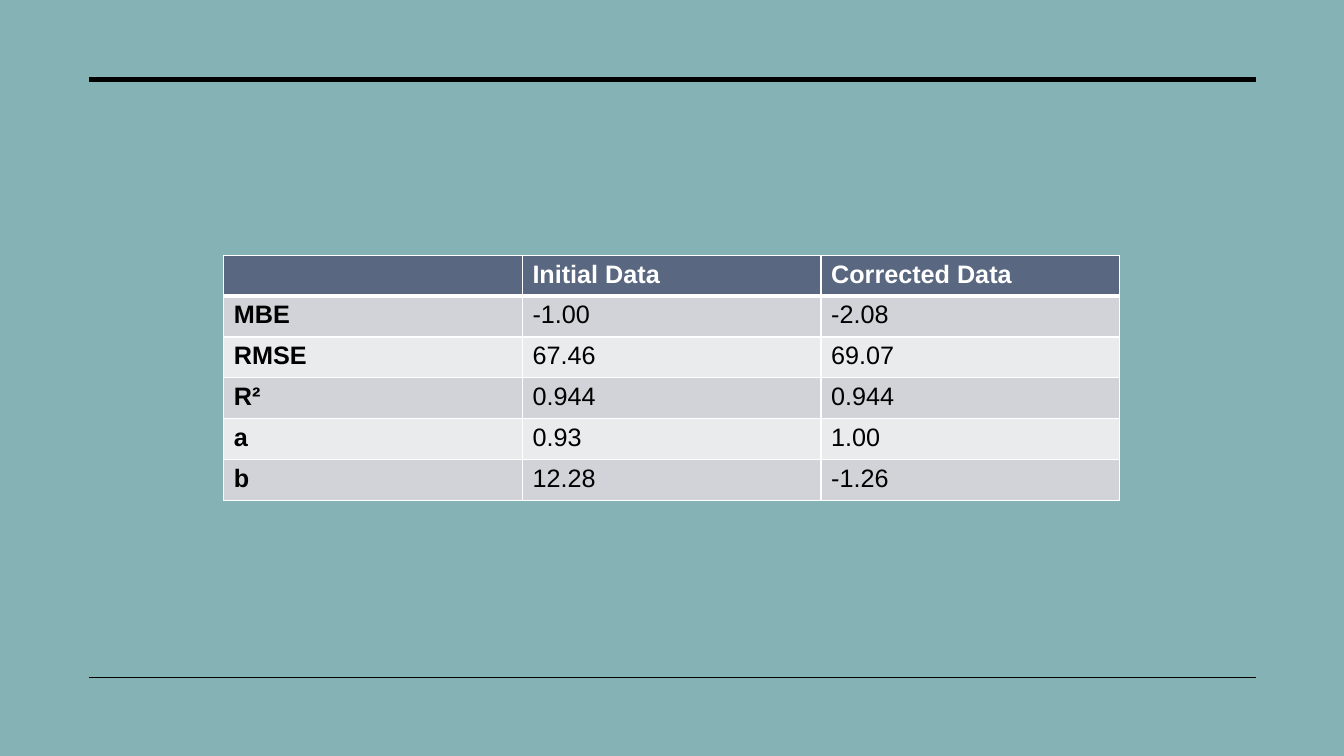
import pptx
import pptx.dml.color
import pptx.enum.shapes
import pptx.oxml
import pptx.oxml.ns
import pptx.util
from pptx.util import Cm

FONT = "Arial"
BLACK, WHITE = "000000", "FFFFFF"
BACKGROUND, HEADER = "85B3B5", "596781"
BANDS = ("D1D3D8", "EAEBED")

STATISTICS = [
    ("", "Initial Data", "Corrected Data"),
    ("MBE", "-1.00", "-2.08"),
    ("RMSE", "67.46", "69.07"),
    ("R²", "0.944", "0.944"),
    ("a", "0.93", "1.00"),
    ("b", "12.28", "-1.26"),
]


def rgb(hex_color):
    return pptx.dml.color.RGBColor.from_string(hex_color)


def paint(fill, hex_color):
    fill.solid()
    fill.fore_color.rgb = rgb(hex_color)


def add_rule(slide, y, width):
    """Draw a horizontal rule between the slide margins."""
    rule = slide.shapes.add_connector(
        pptx.enum.shapes.MSO_CONNECTOR.STRAIGHT, Cm(2.24), y, Cm(31.65), y)
    rule.line.color.rgb = rgb(BLACK)
    rule.line.width = pptx.util.Pt(width)
    rule._element.spPr.append(pptx.oxml.parse_xml(
        f"<a:effectLst {pptx.oxml.ns.nsdecls('a')}/>"))


def set_borders(cell, top, bottom):
    """Border a cell in white; widths are in points."""
    properties = cell._tc.get_or_add_tcPr()
    sides = (("L", 1), ("R", 1), ("T", top), ("B", bottom))
    for position, (side, width) in enumerate(sides):
        properties.insert(position, pptx.oxml.parse_xml(
            f"<a:ln{side} {pptx.oxml.ns.nsdecls('a')} w=\"{pptx.util.Pt(width)}\">"
            f"<a:solidFill><a:srgbClr val=\"{WHITE}\"/></a:solidFill></a:ln{side}>"))


def format_cell(cell, text, row, column):
    is_header = row == 0
    cell.text_frame.text = text
    for run in cell.text_frame.paragraphs[0].runs:
        run.font.name = FONT
        run.font.size = pptx.util.Pt(18)
        run.font.bold = is_header or column == 0
        run.font.color.rgb = rgb(WHITE if is_header else BLACK)
    paint(cell.fill, HEADER if is_header else BANDS[(row - 1) % 2])
    # A thick line parts the header from the body
    set_borders(cell, top=3 if row == 1 else 1, bottom=3 if is_header else 1)


def add_statistics_table(slide, rows):
    statistics = slide.shapes.add_table(
        len(rows), len(rows[0]), Cm(5.64), Cm(6.43),
        Cm(22.58), Cm(1.03) * len(rows)).table
    for row, texts in enumerate(rows):
        for column, text in enumerate(texts):
            format_cell(statistics.cell(row, column), text, row, column)


def main():
    deck = pptx.Presentation()
    deck.slide_width, deck.slide_height = Cm(33.87), Cm(19.05)
    slide = deck.slides.add_slide(deck.slide_layouts[6])
    paint(slide.background.fill, BACKGROUND)

    # Rules above and below the content
    add_rule(slide, Cm(2.01), 3.5)
    add_rule(slide, Cm(17.07), 1)

    # Error statistics before and after correction
    add_statistics_table(slide, STATISTICS)
    deck.save("out.pptx")


if __name__ == "__main__":
    main()
